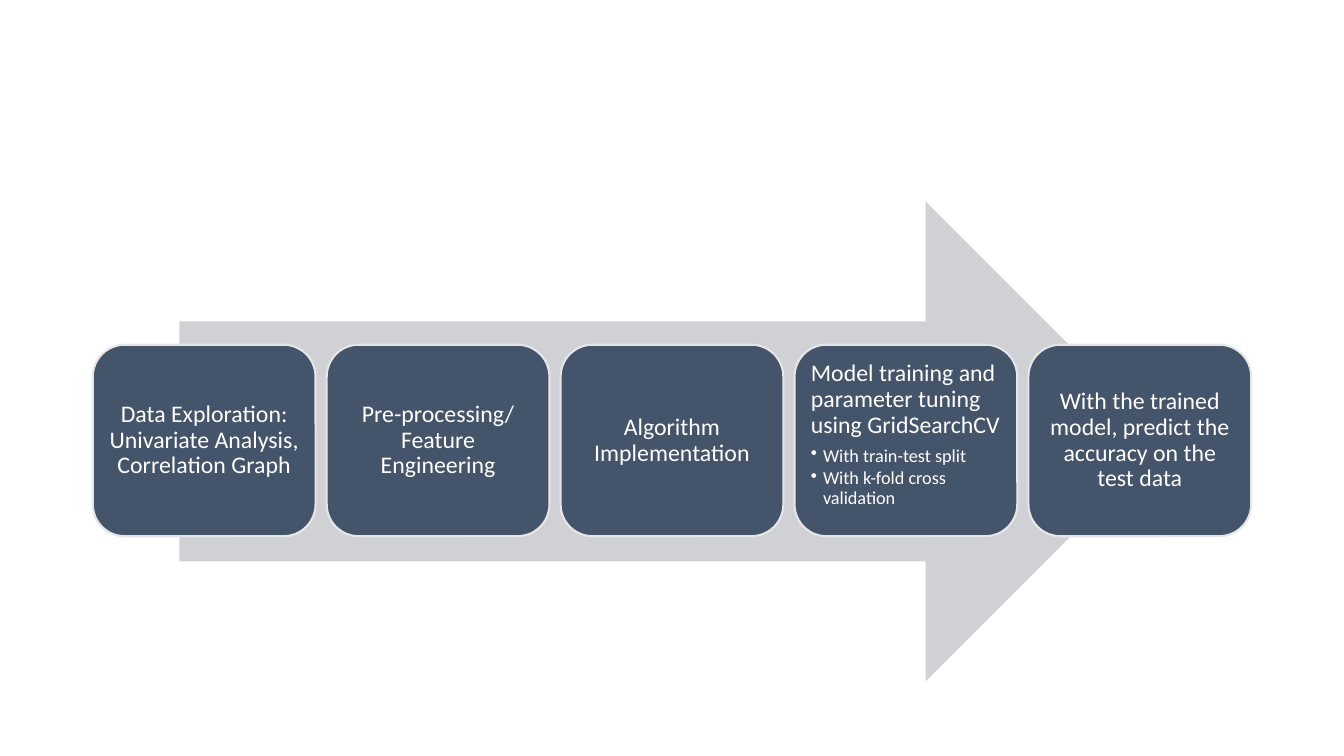
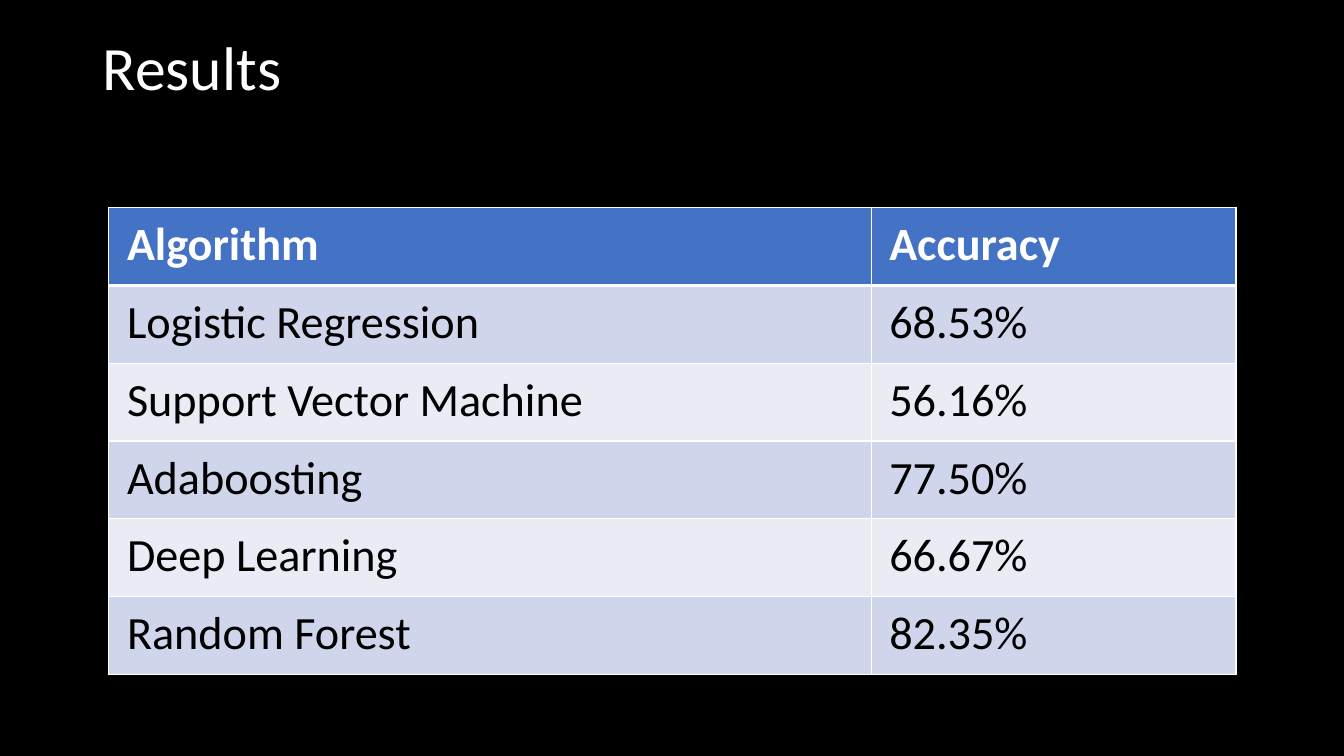
"""Build a two-slide deck: a machine learning workflow and its results."""
from lxml.etree import SubElement
from pptx import Presentation
from pptx.dml.color import RGBColor
from pptx.enum.shapes import MSO_SHAPE
from pptx.enum.text import MSO_ANCHOR, MSO_AUTO_SIZE, PP_ALIGN
from pptx.oxml.ns import qn
from pptx.util import Inches, Pt

COLORS = {
    "white": "FFFFFF",
    "black": "000000",
    "arrow": "CFD1D4",
    "step": "44546A",
    "outline": "E7E6E6",
    "header": "4472C4",
    "odd": "CFD5EA",
    "even": "E9EBF5",
}
FONT = "Calibri"


def paint(fill, color):
    fill.solid()
    fill.fore_color.rgb = RGBColor.from_string(COLORS[color])


def write(paragraph, text, size, color="white", bold=False):
    span = paragraph.add_run()
    span.text = text
    for name, value in {"name": FONT, "size": Pt(size), "bold": bold}.items():
        setattr(span.font, name, value)
    span.font.color.rgb = RGBColor.from_string(COLORS[color])


deck = Presentation()
deck.slide_width = Inches(13.33)
deck.slide_height = Inches(7.5)

page = deck.slides.add_slide(deck.slide_layouts[6])
paint(page.background.fill, "white")
arrow = page.shapes.add_shape(
    MSO_SHAPE.RIGHT_ARROW, Inches(1.78), Inches(2), Inches(9.78), Inches(4.76))
arrow.shadow.inherit = False
paint(arrow.fill, "arrow")
arrow.line.fill.background()

steps = [
    ("Data Exploration: Univariate Analysis, Correlation Graph", []),
    ("Pre-processing/Feature Engineering", []),
    ("Algorithm Implementation", []),
    ("Model training and parameter tuning using GridSearchCV",
     ["With train-test split", "With k-fold cross validation"]),
    ("With the trained model, predict the accuracy on the test data", []),
]
for index, (heading, details) in enumerate(steps):
    box = page.shapes.add_shape(
        MSO_SHAPE.ROUNDED_RECTANGLE, Inches(0.92 + 2.32 * index),
        Inches(3.42), Inches(2.21), Inches(1.9))
    box.shadow.inherit = False
    paint(box.fill, "step")
    paint(box.line.fill, "outline")
    box.line.width = Pt(1.5)
    frame = box.text_frame
    frame.word_wrap = True
    frame.vertical_anchor = MSO_ANCHOR.TOP if details else MSO_ANCHOR.MIDDLE
    for side in ("left", "right", "top", "bottom"):
        setattr(frame, f"margin_{side}", Inches(0.07))
    para = frame.paragraphs[0]
    para.alignment = PP_ALIGN.LEFT if details else PP_ALIGN.CENTER
    para.line_spacing = 0.9
    para.space_after = Pt(6)
    write(para, heading, 17)
    for detail in details:
        para = frame.add_paragraph()
        para.level = 1
        para.alignment = PP_ALIGN.LEFT
        para.line_spacing = 0.9
        para.space_after = Pt(2)
        properties = para._p.get_or_add_pPr()
        properties.set("marL", str(Inches(0.12)))
        properties.set("indent", str(Inches(-0.12)))
        SubElement(properties, qn("a:buChar"), char="•")
        write(para, detail, 13)

page = deck.slides.add_slide(deck.slide_layouts[5])
paint(page.background.fill, "black")
title = page.shapes.title
title.left, title.top = Inches(0.92), Inches(0.32)
title.width, title.height = Inches(11.5), Inches(1.45)
title.text_frame.auto_size = MSO_AUTO_SIZE.NONE
title.text_frame.vertical_anchor = MSO_ANCHOR.TOP
para = title.text_frame.paragraphs[0]
para.alignment = PP_ALIGN.LEFT
para.line_spacing = 0.9
write(para, "Results", 44)

results = [
    ("Algorithm", "Accuracy"),
    ("Logistic Regression", "68.53%"),
    ("Support Vector Machine", "56.16%"),
    ("Adaboosting", "77.50%"),
    ("Deep Learning", "66.67%"),
    ("Random Forest", "82.35%"),
]
table = page.shapes.add_table(
    len(results), 2, Inches(1.08), Inches(2.06), Inches(11.18), Inches(4.63)).table
for column, width in zip(table.columns, (7.56, 3.62)):
    column.width = Inches(width)
margins = {"left": 0.18, "right": 0.18, "top": 0.09, "bottom": 0.09}
for row_index, values in enumerate(results):
    is_header = row_index == 0
    fill_color = "header" if is_header else ("even", "odd")[row_index % 2]
    borders = {"lnL": 1, "lnR": 1, "lnT": 3 if row_index == 1 else 1,
               "lnB": 3 if is_header else 1}
    for column_index, value in enumerate(values):
        cell = table.cell(row_index, column_index)
        for side, margin in margins.items():
            setattr(cell, f"margin_{side}", Inches(margin))
        properties = cell._tc.get_or_add_tcPr()
        for edge, width in borders.items():
            line = SubElement(properties, qn(f"a:{edge}"), w=str(Pt(width)))
            solid = SubElement(line, qn("a:solidFill"))
            SubElement(solid, qn("a:srgbClr"), val=COLORS["white"])
        paint(cell.fill, fill_color)
        write(cell.text_frame.paragraphs[0], value, 33,
              "white" if is_header else "black", is_header)

deck.save("out.pptx")
